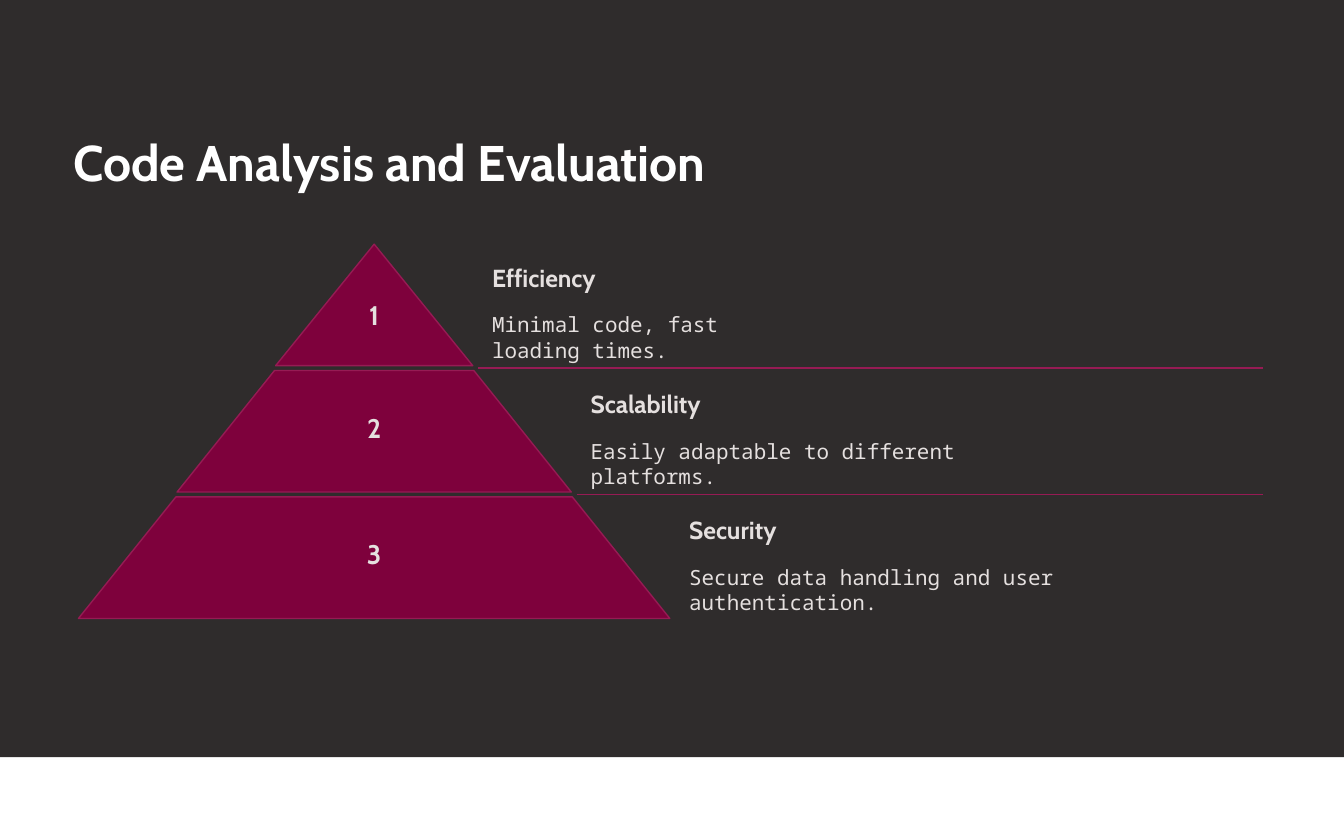
from lxml.etree import SubElement
from pptx import Presentation
from pptx.dml.color import RGBColor
from pptx.enum.shapes import MSO_CONNECTOR as Connector, MSO_SHAPE as Shape
from pptx.enum.text import MSO_ANCHOR as Anchor, MSO_AUTO_SIZE as AutoSize, PP_ALIGN as Align
from pptx.oxml.ns import qn
from pptx.util import Inches, Pt

COLORS = {"backdrop": "242121", "title": "FFFFFF", "text": "E5E0DF",
          "level": "7E013C", "edge": "961B54"}
HEADING_FONT, BODY_FONT = "Cabin", "Noto Sans Mono"

# Number, heading, description, number offset from the level's top, text width
LEVELS = [
    ("1", "Efficiency", "Minimal code, fast loading times.", 0.5, 2.93),
    ("2", "Scalability", "Easily adaptable to different platforms.", 0.37, 3.47),
    ("3", "Security", "Secure data handling and user authentication.", 0.37, 4.1),
]
LEVEL_HEIGHT, LEVEL_GAP = 1.13, 0.045


def color(name):
    return RGBColor.from_string(COLORS[name])


def prepare_frame(shape, top_inset):
    frame = shape.text_frame
    frame.word_wrap = True
    frame.auto_size = AutoSize.NONE
    frame.vertical_anchor = Anchor.TOP
    frame.margin_left = frame.margin_right = frame.margin_bottom = 0
    frame.margin_top = Inches(top_inset)
    return frame


def format_para(para, size, font, tint, bold, before, align=Align.LEFT):
    para.alignment = align
    para.space_before = Pt(before)
    for run in para.runs:
        run.font.size, run.font.name, run.font.bold = Pt(size), font, bold
        run.font.color.rgb = color(tint)


def add_backdrop(page, width, height):
    panel = page.shapes.add_shape(Shape.RECTANGLE, 0, 0, Inches(width), Inches(height))
    panel.shadow.inherit = False
    panel.fill.solid()
    panel.fill.fore_color.rgb = color("backdrop")
    panel.line.fill.background()
    tint = panel._element.spPr.find(qn("a:solidFill"))[0]
    SubElement(tint, qn("a:alpha")).set("val", "95000")
    page.shapes._spTree.insert(2, panel._element)  # behind the title


def add_title(page, left, top, width, height):
    title = page.shapes.title
    title.left, title.top = Inches(left), Inches(top)
    title.width, title.height = Inches(width), Inches(height)
    frame = prepare_frame(title, 0.02)
    frame.text = "Code Analysis and Evaluation"
    format_para(frame.paragraphs[0], 33.5, HEADING_FONT, "title", True, 1.2)


def add_level(page, center, top, top_half, bottom_half):
    bottom = top + LEVEL_HEIGHT
    corners = [(center + top_half, top), (center + bottom_half, bottom),
               (center - bottom_half, bottom)]
    builder = page.shapes.build_freeform(Inches(center - top_half), Inches(top))
    builder.add_line_segments([(Inches(x), Inches(y)) for x, y in corners], close=True)
    level = builder.convert_to_shape()
    level.shadow.inherit = False
    level.fill.solid()
    level.fill.fore_color.rgb = color("level")
    level.line.color.rgb = color("edge")
    level.line.width = Pt(0.9)


def add_number(page, center, top, number):
    box = page.shapes.add_textbox(Inches(center - 0.1), Inches(top), Inches(0.2), Inches(0.33))
    frame = prepare_frame(box, 0.01)
    frame.text = number
    format_para(frame.paragraphs[0], 18, HEADING_FONT, "text", True, 0.9, Align.CENTER)


def add_description(page, left, top, width, heading, description):
    box = page.shapes.add_textbox(Inches(left), Inches(top), Inches(width), Inches(0.73))
    frame = prepare_frame(box, 0.02)
    frame.text = f"{heading}\n{description}"
    format_para(frame.paragraphs[0], 16.5, HEADING_FONT, "text", True, 1.4)
    format_para(frame.paragraphs[1], 14, BODY_FONT, "text", False, 13.4)


def add_divider(page, left, right, y):
    divider = page.shapes.add_connector(Connector.STRAIGHT, Inches(left), Inches(y),
                                        Inches(right), Inches(y))
    divider.line.color.rgb = color("edge")
    divider.line.width = Pt(0.9)
    SubElement(divider._element.spPr, qn("a:effectLst"))


def add_pyramid(page, left, top, base_width, right):
    center = left + base_width / 2
    step = base_width / 2 / len(LEVELS)
    for index, (number, heading, description, offset, width) in enumerate(LEVELS):
        level_top = top + index * (LEVEL_HEIGHT + LEVEL_GAP)
        edge = step * (index + 1)
        add_level(page, center, level_top, step * index + (0.01 if index else 0), edge)
        add_number(page, center, level_top + offset, number)
        add_description(page, center + edge + 0.18, level_top + 0.15, width,
                        heading, description)
        if index < len(LEVELS) - 1:
            add_divider(page, center + edge + 0.05, right,
                        level_top + LEVEL_HEIGHT + LEVEL_GAP / 2)


def main():
    deck = Presentation()
    deck.slide_width, deck.slide_height = Inches(12.5), Inches(7.8)
    page = deck.slides.add_slide(deck.slide_layouts[5])
    add_backdrop(page, 12.5, 7.04)
    add_title(page, 0.68, 1.2, 6.05, 0.59)
    add_pyramid(page, 0.73, 2.27, 5.5, 11.75)
    deck.save("out.pptx")


if __name__ == "__main__":
    main()
